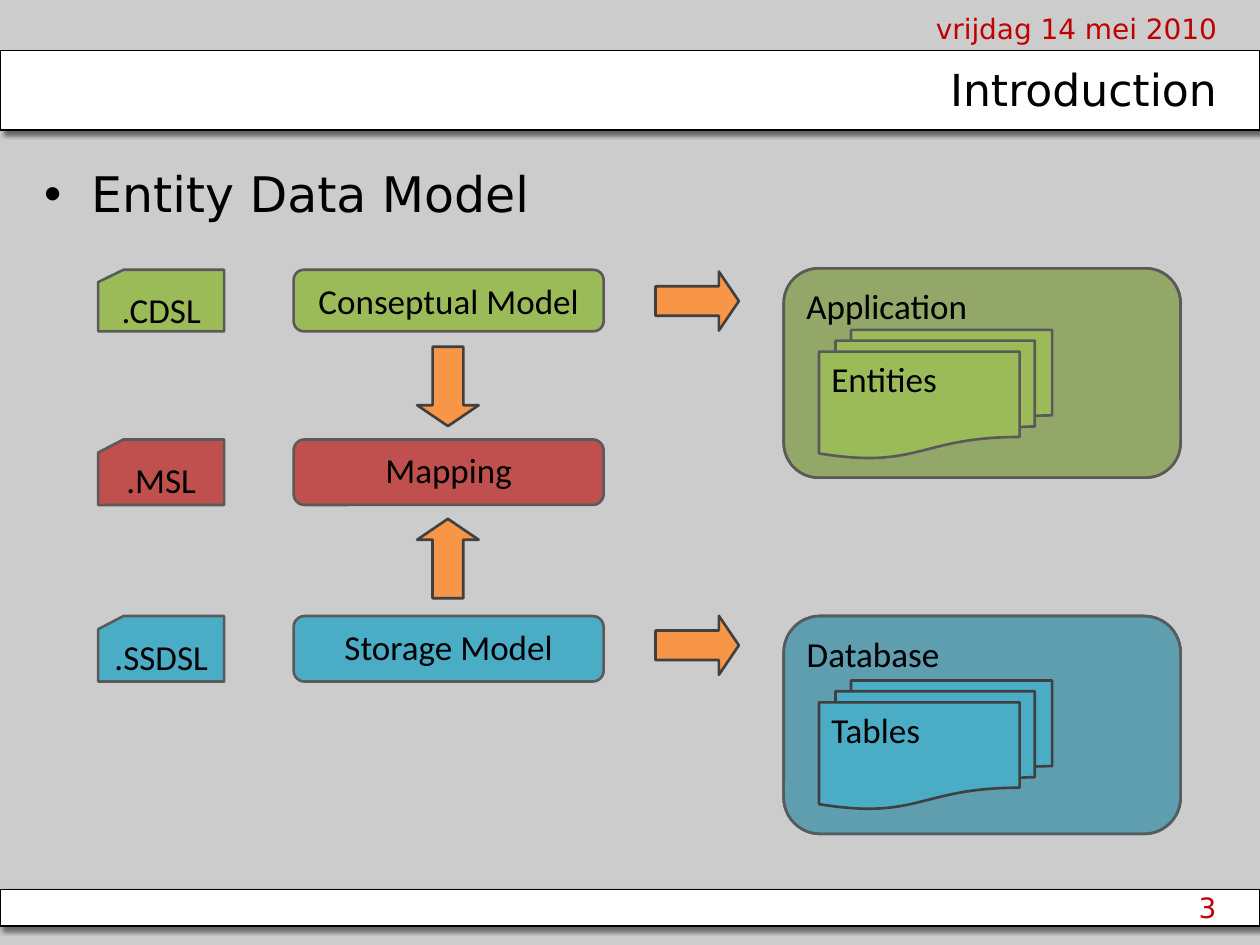
from dataclasses import dataclass

from lxml import etree
from pptx import Presentation
from pptx.dml.color import RGBColor
from pptx.enum.shapes import MSO_SHAPE
from pptx.enum.text import MSO_ANCHOR, PP_ALIGN
from pptx.oxml.ns import qn
from pptx.util import Cm, Pt

LEFT, CENTER, RIGHT = PP_ALIGN.LEFT, PP_ALIGN.CENTER, PP_ALIGN.RIGHT
TOP, MIDDLE = MSO_ANCHOR.TOP, MSO_ANCHOR.MIDDLE
RECTANGLE, ROUNDED = MSO_SHAPE.RECTANGLE, MSO_SHAPE.ROUNDED_RECTANGLE
CARD, DOCUMENTS = MSO_SHAPE.FLOWCHART_CARD, MSO_SHAPE.FLOWCHART_MULTIDOCUMENT
ARROW = MSO_SHAPE.UP_ARROW

BLACK = RGBColor(0x00, 0x00, 0x00)
WHITE = RGBColor(0xFF, 0xFF, 0xFF)
BACKGROUND = RGBColor(0xCC, 0xCC, 0xCC)
DARK_RED = RGBColor(0xC0, 0x00, 0x00)
GREEN = RGBColor(0x9B, 0xBB, 0x59)
DARK_GREEN = RGBColor(0x4E, 0x61, 0x28)
RED = RGBColor(0xC0, 0x50, 0x4D)
BLUE = RGBColor(0x4B, 0xAC, 0xC6)
DARK_BLUE = RGBColor(0x20, 0x58, 0x67)
ORANGE = RGBColor(0xF7, 0x96, 0x46)
GRAY = RGBColor(0x5A, 0x5A, 0x5A)
DARK_GRAY = RGBColor(0x40, 0x40, 0x40)

HEADING_FONT, DIAGRAM_FONT = "DejaVu Sans", "Calibri"
SLIDE_WIDTH, SLIDE_HEIGHT = 25.4, 19.05


@dataclass(frozen=True)
class Box:
    """A rectangle in centimetres."""
    left: float
    top: float
    width: float
    height: float

    def lengths(self):
        return Cm(self.left), Cm(self.top), Cm(self.width), Cm(self.height)


@dataclass(frozen=True)
class Layer:
    extension: str
    name: str
    top: float
    height: float
    color: RGBColor


@dataclass(frozen=True)
class Target:
    name: str
    content: str
    top: float
    height: float
    content_top: float
    arrow_top: float
    color: RGBColor
    shadow: RGBColor
    content_line: RGBColor


LAYERS = (
    Layer(".CDSL", "Conseptual Model", 5.44, 1.24, GREEN),
    Layer(".MSL", "Mapping", 8.86, 1.32, RED),
    Layer(".SSDSL", "Storage Model", 12.42, 1.32, BLUE),
)
TARGETS = (
    Target("Application", "Entities", 5.41, 4.22, 6.65, 5.23,
           GREEN, DARK_GREEN, GRAY),
    Target("Database", "Tables", 12.42, 4.39, 13.72, 12.17,
           BLUE, DARK_BLUE, DARK_GRAY),
)


def write_text(shape, text: str, *, size: float = 20, font: str = DIAGRAM_FONT,
               color: RGBColor = BLACK, align=LEFT, anchor=TOP,
               space_after: float = 0):
    frame = shape.text_frame
    frame.word_wrap = True
    frame.vertical_anchor = anchor
    paragraph = frame.paragraphs[0]
    paragraph.alignment = align
    paragraph.space_after = Pt(space_after)
    run = paragraph.add_run()
    run.text = text
    run.font.size = Pt(size)
    run.font.name = font
    run.font.color.rgb = color
    return paragraph


def add_heading(slide, box: Box, text: str, **text_format):
    text_box = slide.shapes.add_textbox(*box.lengths())
    return write_text(text_box, text, font=HEADING_FONT, **text_format)


def add_box(slide, kind, box: Box, fill: RGBColor, line: RGBColor = GRAY,
            line_width: float = 1.5, text: str = "", align=LEFT):
    shape = slide.shapes.add_shape(kind, *box.lengths())
    shape.shadow.inherit = False
    shape.fill.solid()
    shape.fill.fore_color.rgb = fill
    shape.line.color.rgb = line
    shape.line.width = Pt(line_width)
    if text:
        write_text(shape, text, align=align, space_after=10)
    return shape


def add_arrow(slide, box: Box, rotation: float = 0) -> None:
    arrow = add_box(slide, ARROW, box, ORANGE, DARK_GRAY)
    arrow.adjustments[0], arrow.adjustments[1] = 0.5, 0.34
    arrow.rotation = rotation


def add_half_alpha(color_element) -> None:
    etree.SubElement(color_element, qn("a:alpha"), val="50000")


def set_shadow(shape, color: RGBColor, distance: float = 0) -> None:
    """Add a half-transparent shadow, down and to the right by distance points."""
    effects = shape.element.spPr.find(qn("a:effectLst"))
    shadow = etree.SubElement(
        effects, qn("a:outerShdw"), blurRad=str(Pt(distance)),
        dist=str(Pt(distance)), dir="2700000" if distance else "0",
        algn="ctr", rotWithShape="0")
    add_half_alpha(etree.SubElement(shadow, qn("a:srgbClr"), val=str(color)))


def add_frame(slide) -> None:
    """Draw the two white bars, the title, the date, the number and the bullet."""
    for top, height in ((17.93, 0.74), (1.02, 1.6)):
        bar = add_box(slide, RECTANGLE, Box(0, top, SLIDE_WIDTH, height),
                      WHITE, BLACK, 1)
        set_shadow(bar, BLACK, 3)

    title = slide.shapes.title
    title.left, title.top, title.width, title.height = Box(
        9.73, 1.12, 15.06, 1.35).lengths()
    write_text(title, "Introduction", size=25.2, font=HEADING_FONT,
               align=RIGHT, anchor=MIDDLE)
    title.element.getparent().append(title.element)  # in front of the bars

    small = dict(size=16, color=DARK_RED, align=RIGHT, anchor=MIDDLE)
    add_heading(slide, Box(9.98, 0.15, 14.81, 0.84), "vrijdag 14 mei 2010", **small)
    add_heading(slide, Box(18.85, 17.78, 5.92, 1.02), "3", **small)

    bullet = add_heading(slide, Box(0.64, 3.18, 24.13, 1.6),
                         "Entity Data Model", size=28)
    bullet.space_before = Pt(5.6)
    properties = bullet._p.get_or_add_pPr()
    properties.set("marL", str(Cm(0.95)))
    properties.set("indent", str(Cm(-0.95)))
    etree.SubElement(properties, qn("a:buFont"), typeface="Arial")
    etree.SubElement(properties, qn("a:buChar"), char="•")


def add_layer(slide, layer: Layer) -> None:
    add_box(slide, CARD, Box(1.98, layer.top, 2.54, layer.height),
            layer.color, text=layer.extension, align=CENTER)
    add_box(slide, ROUNDED, Box(5.92, layer.top, 6.25, layer.height),
            layer.color, text=layer.name, align=CENTER)


def add_target(slide, target: Target) -> None:
    panel = add_box(slide, ROUNDED, Box(15.8, target.top, 8, target.height),
                    target.color, text=target.name)
    add_half_alpha(panel.element.spPr.find(qn("a:solidFill"))[0])
    set_shadow(panel, target.shadow)
    add_box(slide, DOCUMENTS, Box(16.51, target.content_top, 4.7, 2.59),
            target.color, target.content_line, text=target.content)
    add_arrow(slide, Box(13.46, target.arrow_top, 1.19, 1.68), 90)


def main() -> None:
    presentation = Presentation()
    presentation.slide_width = Cm(SLIDE_WIDTH)
    presentation.slide_height = Cm(SLIDE_HEIGHT)
    slide = presentation.slides.add_slide(presentation.slide_layouts[5])
    slide.background.fill.solid()
    slide.background.fill.fore_color.rgb = BACKGROUND

    add_frame(slide)
    for layer in LAYERS:
        add_layer(slide, layer)
    for target in TARGETS:
        add_target(slide, target)
    for top, rotation in ((10.46, 0), (6.99, 180)):
        add_arrow(slide, Box(8.41, top, 1.24, 1.6), rotation)

    presentation.save("out.pptx")


if __name__ == "__main__":
    main()
